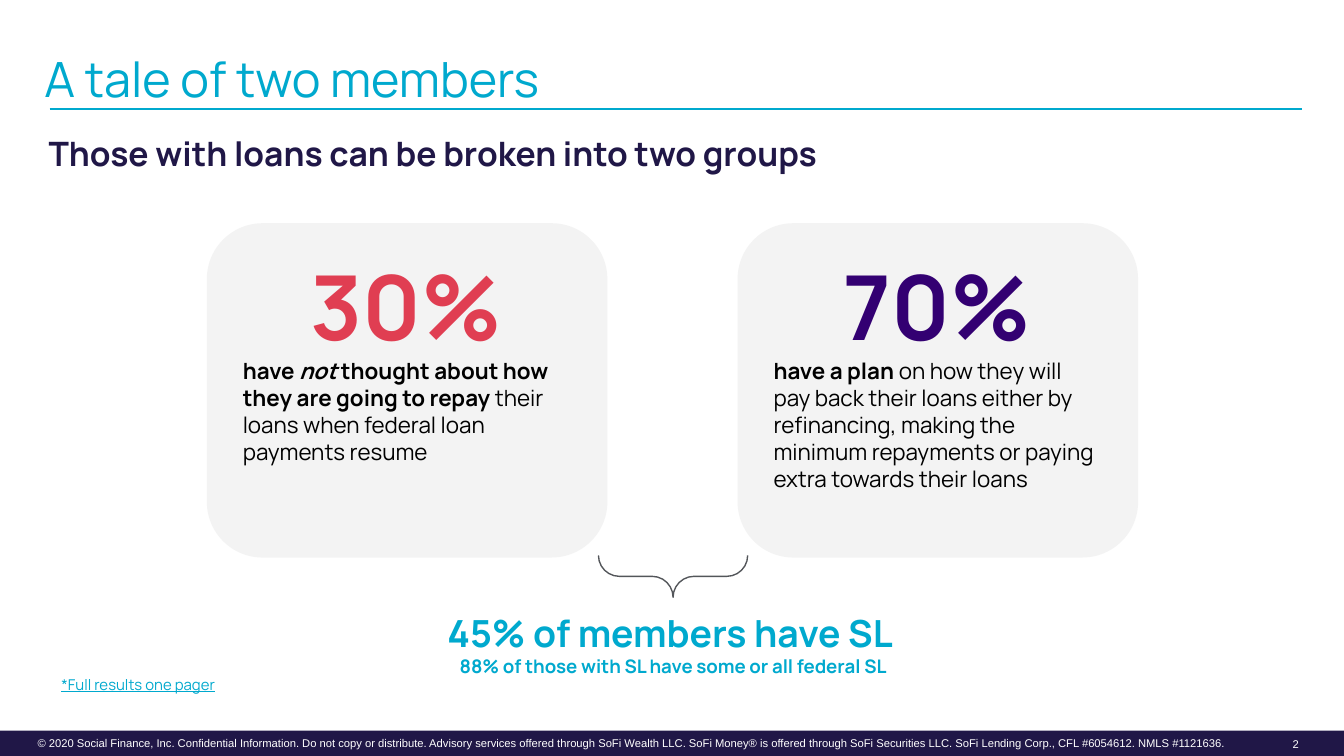
from lxml import etree
from pptx import Presentation
from pptx.dml.color import RGBColor
from pptx.enum.shapes import MSO_CONNECTOR, MSO_SHAPE
from pptx.enum.text import MSO_ANCHOR, PP_ALIGN
from pptx.oxml.ns import qn
from pptx.util import Cm, Pt

RECTANGLE = MSO_SHAPE.RECTANGLE
ROUNDED = MSO_SHAPE.ROUNDED_RECTANGLE
BRACE = MSO_SHAPE.RIGHT_BRACE
STRAIGHT = MSO_CONNECTOR.STRAIGHT
TOP, MIDDLE, BOTTOM = MSO_ANCHOR.TOP, MSO_ANCHOR.MIDDLE, MSO_ANCHOR.BOTTOM
LEFT, CENTER = PP_ALIGN.LEFT, PP_ALIGN.CENTER

WIDTH, HEIGHT = 25.4, 14.29
CYAN, NAVY, GREY, WHITE, BLACK = "00A9CE", "201747", "F3F3F3", "FFFFFF", "000000"


def color(value):
    """Turn a hex string into a colour."""
    return RGBColor.from_string(value)


def add_text(slide, box, lines, size, ink, font="Manrope", align=LEFT,
             anchor=TOP, inset=0.0, spacing=1.0):
    """Place one paragraph whose lines are lists of (text, font settings) runs."""
    frame = slide.shapes.add_textbox(*map(Cm, box)).text_frame
    frame.word_wrap = True
    frame.vertical_anchor = anchor
    frame.margin_left = frame.margin_right = Cm(inset)
    frame.margin_top = frame.margin_bottom = Cm(inset)
    paragraph = frame.paragraphs[0]
    paragraph.alignment = align
    paragraph.line_spacing = spacing
    for index, line in enumerate(lines):
        if index:
            paragraph.add_line_break()
        for text, settings in line:
            run = paragraph.add_run()
            run.text = text
            run.font.name = font
            run.font.size = Pt(size)
            run.font.color.rgb = color(ink)
            for name, value in settings.items():
                setattr(run.font, name, value)


def add_block(slide, kind, box, fill):
    """Place a filled shape without outline or shadow."""
    shape = slide.shapes.add_shape(kind, *map(Cm, box))
    shape.shadow.inherit = False
    shape.fill.solid()
    shape.fill.fore_color.rgb = color(fill)
    shape.line.fill.background()


def add_header(slide, box):
    """Place the title, its rule and the subtitle."""
    left, top, width, height = box
    add_text(slide, (left, top, width, 1.22), [[("A tale of two members", {})]],
             26, CYAN, anchor=BOTTOM, spacing=0.95)
    rule = slide.shapes.add_connector(
        STRAIGHT, Cm(left + 0.1), Cm(top + 1.22), Cm(left + width), Cm(top + 1.22))
    rule.line.color.rgb = color(CYAN)
    rule.line.width = Pt(0.75)
    etree.SubElement(rule._element.spPr, qn("a:effectLst"))
    add_text(slide, (left + 0.08, top + height - 1.22, width - 0.16, 1.22),
             [[("Those with loans can be broken into two groups", {"bold": True})]],
             18, NAVY, spacing=0.9)


def add_group_card(slide, box, share, ink, runs):
    """Place a rounded card with a large share above its description."""
    left, top, width, height = box
    add_block(slide, ROUNDED, box, GREY)
    add_text(slide, (left + 0.43, top + 2.29, width - 0.86, height - 2.73), [runs],
             12, BLACK, inset=0.25)
    add_text(slide, (left + 1.14, top + 0.28, 5.26, 2.57), [[(share, {"bold": True})]],
             48, ink, align=CENTER, inset=0.25)


def add_summary(slide, box):
    """Place the downward brace and the summary text below it."""
    left, top, width, height = box
    depth, span = 0.79, 2.82
    brace = slide.shapes.add_shape(
        BRACE, Cm(left + 1.81 + span - depth / 2 + 0.83), Cm(top + depth / 2 - span / 2),
        Cm(depth), Cm(span))
    brace.rotation = 90
    brace.adjustments[0] = 0.5
    brace.shadow.inherit = False
    brace.fill.background()
    brace.line.color.rgb = color("53565A")
    brace.line.width = Pt(0.75)
    lines = [[("45% of members have SL ", {"bold": True})],
             [("88% of those with SL have some or all federal SL",
               {"bold": True, "size": Pt(10)})]]
    add_text(slide, (left, top + height - 1.8, width, 1.8), lines, 20, CYAN,
             align=CENTER, inset=0.25)


def add_footer(slide, box):
    """Place the dark bar with the legal line and the page number."""
    left, top, width, height = box
    legal = ("© 2020 Social Finance, Inc. Confidential Information. Do not copy or distribute. "
             "Advisory services offered through SoFi Wealth LLC. SoFi Money® is offered through "
             "SoFi Securities LLC. SoFi Lending Corp., CFL #6054612. NMLS #1121636.")
    add_block(slide, RECTANGLE, box, NAVY)
    add_text(slide, (left + width - 0.97, top + 0.13, 0.25, 0.25), [[("2", {})]], 6, WHITE,
             font="Arial", anchor=MIDDLE)
    add_text(slide, (left + 0.71, top + 0.15, 23.11, 0.2), [[(legal, {})]], 6, WHITE,
             font="Arial", anchor=MIDDLE, spacing=0.9)


def main():
    """Build and save the slide."""
    presentation = Presentation()
    presentation.slide_width, presentation.slide_height = Cm(WIDTH), Cm(HEIGHT)
    slide = presentation.slides.add_slide(presentation.slide_layouts[6])
    bold = {"bold": True}
    cards = [
        ("30%", "E03E52", [
            ("have ", bold), ("not", {"bold": True, "italic": True}),
            (" thought about how they are going to repay", bold),
            (" their loans when federal loan payments resume", {})]),
        ("70%", "330072", [
            ("have a plan ", bold),
            ("on how they will pay back their loans either by refinancing, making the "
             "minimum repayments or paying extra towards their loans", {})]),
    ]
    add_footer(slide, (0, HEIGHT - 0.48, WIDTH, 0.48))
    add_header(slide, (0.84, 0.84, 23.77, 2.97))
    for index, (share, ink, runs) in enumerate(cards):
        add_group_card(slide, (3.91 + index * 10.03, 4.22, 7.57, 6.32), share, ink, runs)
    add_summary(slide, (7.26, 10.5, 10.92, 2.58))
    add_text(slide, (0.91, 12.6, 8.33, 0.86),
             [[("*Full results one pager", {"underline": True})]], 8, CYAN, inset=0.25)
    presentation.save("out.pptx")


if __name__ == "__main__":
    main()
